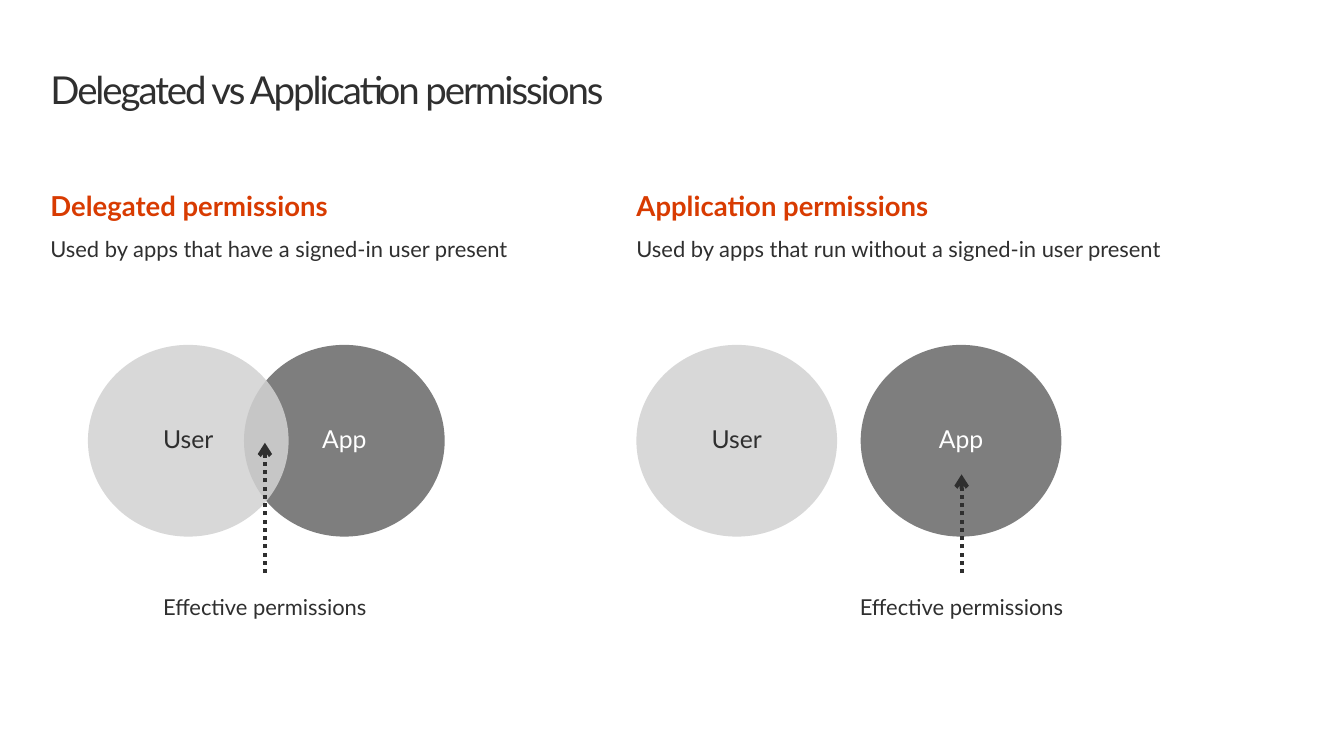
from lxml.etree import SubElement
from pptx import Presentation
from pptx.dml.color import RGBColor
from pptx.enum.dml import MSO_LINE
from pptx.enum.shapes import MSO_CONNECTOR, MSO_SHAPE
from pptx.enum.text import MSO_ANCHOR, MSO_AUTO_SIZE, PP_ALIGN
from pptx.oxml.ns import qn
from pptx.util import Pt

TITLE = "Delegated vs Application permissions"
PERMISSIONS = [
    {"heading": "Delegated permissions",
     "usage": "Used by apps that have a signed-in user present",
     "left": 36.7, "width": 386, "user_left": 64.1, "app_left": 177.8,
     "arrow_x": 193, "arrow_tip": 322.6},
    {"heading": "Application permissions",
     "usage": "Used by apps that run without a signed-in user present",
     "left": 463.7, "width": 437.8, "user_left": 463.7, "app_left": 627.1,
     "arrow_x": 700.6, "arrow_tip": 345.6},
]
EFFECTIVE = "Effective permissions"

INK, ACCENT, WHITE = "2F2F2F", "D83B01", "FFFFFF"
APP_GRAY, USER_GRAY, OPACITY = "696969", "D2D2D2", 86
CIRCLE_TOP, CIRCLE_W, CIRCLE_H = 251.3, 146.2, 139.7
ARROW_START, LABEL_TOP, LABEL_W, LABEL_H = 417.6, 423.4, 177, 41
PADDED = (14.4, 11.5)

TITLE_FONT = {"size": Pt(28), "bold": False}
HEADING_FONT = {"size": Pt(20), "bold": True}
USAGE_FONT = {"size": Pt(16), "bold": False}
CIRCLE_FONT = {"size": Pt(18)}
HEADING_LINE = {"line_spacing": Pt(24)}
USAGE_LINE = {"line_spacing": 0.9, "space_before": Pt(12)}
CENTERED = {"line_spacing": 0.9, "alignment": PP_ALIGN.CENTER}


def rgb(color):
    return RGBColor.from_string(color)


def apply(target, values):
    for name, value in values.items():
        setattr(target, name, value)


def prepare(frame, padding=(0, 0), **values):
    side, top = map(Pt, padding)
    apply(frame, {"margin_left": side, "margin_right": side,
                  "margin_top": top, "margin_bottom": top,
                  "auto_size": MSO_AUTO_SIZE.NONE, "word_wrap": True,
                  "vertical_anchor": MSO_ANCHOR.TOP, **values})


def write(paragraph, text, font, color, layout):
    run = paragraph.add_run()
    run.text = text
    apply(run.font, {"name": "Lato", **font})
    run.font.color.rgb = rgb(color)
    apply(paragraph, layout)
    return run


def add_intro(shapes, kind):
    box = shapes.add_textbox(Pt(kind["left"]), Pt(137.5), Pt(kind["width"]), Pt(54))
    frame = box.text_frame
    prepare(frame)
    write(frame.paragraphs[0], kind["heading"], HEADING_FONT, ACCENT, HEADING_LINE)
    write(frame.add_paragraph(), kind["usage"], USAGE_FONT, INK, USAGE_LINE)


def add_circle(shapes, left, text, fill, color):
    circle = shapes.add_shape(MSO_SHAPE.OVAL, Pt(left), Pt(CIRCLE_TOP),
                              Pt(CIRCLE_W), Pt(CIRCLE_H))
    circle.shadow.inherit = False
    circle.fill.solid()
    circle.fill.fore_color.rgb = rgb(fill)
    tint = circle.fill._xPr.find(qn("a:solidFill"))[0]
    SubElement(tint, qn("a:alpha"), val=str(OPACITY * 1000))
    circle.line.fill.background()
    prepare(circle.text_frame, PADDED, vertical_anchor=MSO_ANCHOR.MIDDLE)
    write(circle.text_frame.paragraphs[0], text, CIRCLE_FONT, color, CENTERED)


def add_arrow(shapes, x, tip):
    arrow = shapes.add_connector(MSO_CONNECTOR.STRAIGHT, Pt(x), Pt(ARROW_START),
                                 Pt(x), Pt(tip))
    apply(arrow.line, {"width": Pt(3), "dash_style": MSO_LINE.ROUND_DOT})
    arrow.line.color.rgb = rgb(INK)
    SubElement(arrow.line._get_or_add_ln(), qn("a:tailEnd"), type="arrow")
    SubElement(arrow._element.spPr, qn("a:effectLst"))


def add_label(shapes, center):
    label = shapes.add_textbox(Pt(center - LABEL_W / 2), Pt(LABEL_TOP),
                               Pt(LABEL_W), Pt(LABEL_H))
    prepare(label.text_frame, PADDED, word_wrap=False)
    write(label.text_frame.paragraphs[0], EFFECTIVE, USAGE_FONT, INK, CENTERED)


def main():
    deck = Presentation()
    apply(deck, {"slide_width": Pt(979.2), "slide_height": Pt(550.8)})
    slide = deck.slides.add_slide(deck.slide_layouts[5])

    title = slide.shapes.title
    apply(title, {"left": Pt(36.7), "top": Pt(49.7),
                  "width": Pt(907.9), "height": Pt(32.4)})
    prepare(title.text_frame)
    run = write(title.text_frame.paragraphs[0], TITLE, TITLE_FONT, INK,
                {"line_spacing": Pt(32), "alignment": PP_ALIGN.LEFT})
    run.font._element.set("spc", "-150")

    for kind in PERMISSIONS:
        add_intro(slide.shapes, kind)
        diagram = slide.shapes.add_group_shape().shapes
        add_circle(diagram, kind["app_left"], "App", APP_GRAY, WHITE)
        add_circle(diagram, kind["user_left"], "User", USER_GRAY, INK)
        add_label(diagram, kind["arrow_x"])
        add_arrow(diagram, kind["arrow_x"], kind["arrow_tip"])

    deck.save("out.pptx")


if __name__ == "__main__":
    main()
